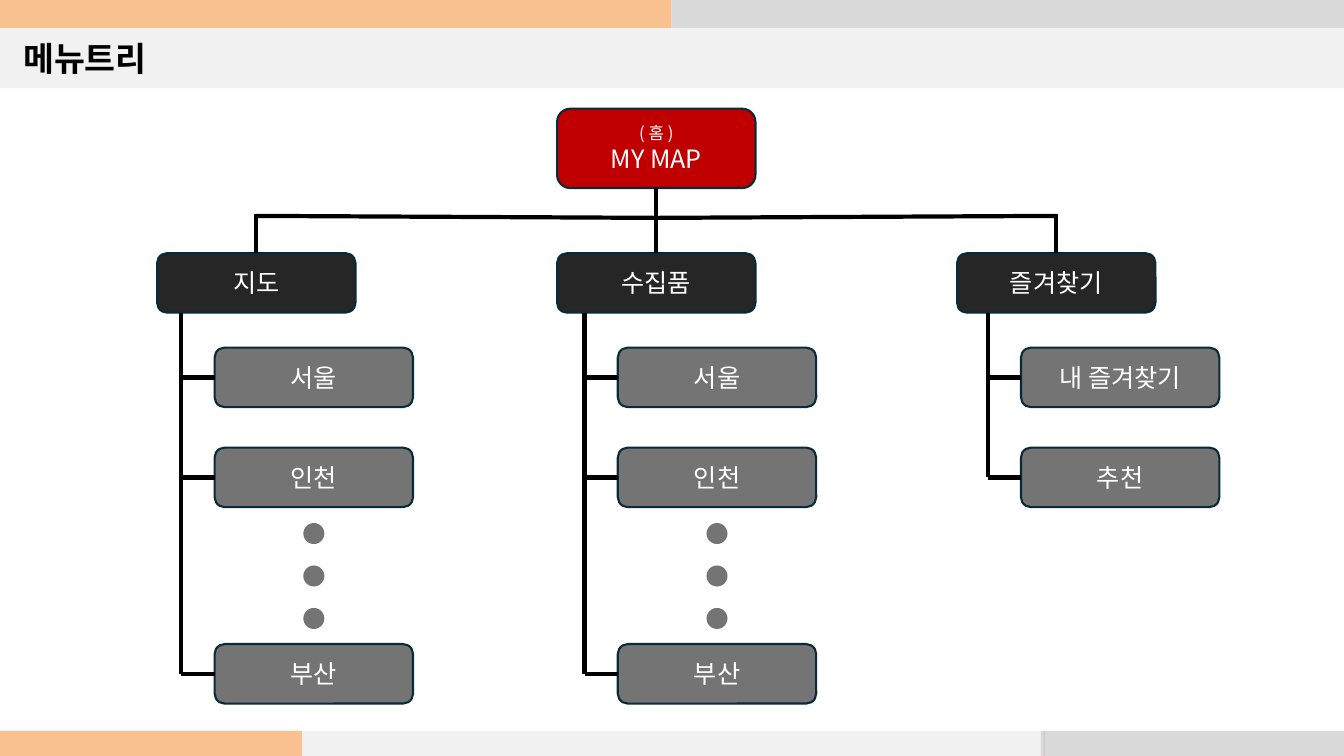
from lxml import etree
from pptx import Presentation, util as u
from pptx.dml.color import RGBColor
from pptx.enum import shapes as kinds, text
from pptx.oxml.ns import qn

ORANGE = RGBColor(0xF9, 0xC0, 0x90)
SILVER = RGBColor(0xD9, 0xD9, 0xD9)
PALE = RGBColor(0xF1, 0xF1, 0xF1)
PINK = RGBColor(0xDD, 0xB9, 0xB9)
RED = RGBColor(0xC0, 0x00, 0x00)
CHARCOAL = RGBColor(0x26, 0x26, 0x26)
GRAY = RGBColor(0x74, 0x74, 0x74)
NAVY = RGBColor(0x09, 0x2A, 0x39)
BLACK = RGBColor(0x00, 0x00, 0x00)
WHITE = RGBColor(0xFF, 0xFF, 0xFF)

FONT = "Noto Sans CJK KR"
SHAPE = kinds.MSO_SHAPE
PAGE_WIDTH, PAGE_HEIGHT = 33.87, 19.05
NODE_WIDTH, NODE_HEIGHT, HOME_HEIGHT = 5, 1.5, 2
HOME_LEFT, HOME_TOP = 14.04, 2.74
SECTION_LEFT, SECTION_STEP, SECTION_TOP = 3.96, 10.08, 6.38
TRUNK_LEFT, ITEM_LEFT, ITEM_STEP = 4.57, 5.41, 10.16
ITEM_TOPS = (8.76, 11.28, 16.23)
BUS_MIDDLE, BUS_END, DROP_TOP = 5.49, 5.44, 5.38
DOT_SIZE, DOT_TOP, DOT_STEP = 0.53, 13.18, 1.07
BOTTOM, LEFT = 2, 1

BANDS = (
    (0, 0, 16.93, 0.71, ORANGE),
    (16.93, 0, 16.94, 0.71, SILVER),
    (0, 18.42, 7.62, 0.63, ORANGE),
    (7.62, 18.42, 18.61, 0.63, PALE),
    (26.23, 18.42, 7.64, 0.63, SILVER),
    (26.31, 18.42, 0.02, 0.63, PINK),
    (0, 0.71, PAGE_WIDTH, 1.51, PALE),
)
SECTIONS = (
    ("지도", ("서울", "인천", "부산")),
    ("수집품", ("서울", "인천", "부산")),
    ("즐겨찾기", ("내 즐겨찾기", "추천")),
)


def apply(target, values):
    """Set every attribute in values on target."""
    for name, value in values.items():
        setattr(target, name, value)


def add_block(slide, kind, left, top, width, height, color):
    """Add a flat preset shape without outline."""
    block = slide.shapes.add_shape(
        kind, u.Cm(left), u.Cm(top), u.Cm(width), u.Cm(height))
    block.shadow.inherit = False
    block.fill.solid()
    block.fill.fore_color.rgb = color
    block.line.fill.background()
    return block


def write(paragraph, wording, size, color, align, bold=False):
    """Write one formatted run into a paragraph."""
    paragraph.alignment = align
    run = paragraph.add_run()
    run.text = wording
    apply(run.font, {"size": u.Pt(size), "bold": bold, "name": FONT})
    run.font.color.rgb = color
    east_asian = etree.SubElement(run.font._element, qn("a:ea"))
    east_asian.set("typeface", FONT)


def add_node(slide, left, top, height, color, lines):
    """Add a rounded menu node with centred lines of text."""
    node = add_block(slide, SHAPE.ROUNDED_RECTANGLE, left, top,
                     NODE_WIDTH, height, color)
    node.line.color.rgb = NAVY
    node.line.width = u.Pt(1.5)
    frame = node.text_frame
    apply(frame, {"word_wrap": True, "vertical_anchor": text.MSO_ANCHOR.MIDDLE})
    for index, (wording, size) in enumerate(lines):
        paragraph = frame.add_paragraph() if index else frame.paragraphs[0]
        write(paragraph, wording, size, WHITE, text.PP_ALIGN.CENTER)
    return node


def add_link(slide, start, end, source=None, target=None, side=None):
    """Add a tree line, joined to a source's bottom or a target's side."""
    link = slide.shapes.add_connector(
        kinds.MSO_CONNECTOR.STRAIGHT, *(u.Cm(value) for value in start + end))
    link.line.color.rgb = BLACK
    link.line.width = u.Pt(3)
    etree.SubElement(link._element.spPr, qn("a:effectLst"))
    if source is not None:
        link.begin_connect(source, BOTTOM)
    if target is not None:
        link.end_connect(target, side)


def add_title(slide, wording):
    """Place the title in front of its band."""
    title = slide.shapes.title
    apply(title, {"left": u.Cm(0.33), "top": u.Cm(0.84),
                  "width": u.Cm(7.42), "height": u.Cm(1.27)})
    apply(title.text_frame, {"word_wrap": True,
                             "vertical_anchor": text.MSO_ANCHOR.TOP,
                             "auto_size": text.MSO_AUTO_SIZE.NONE})
    write(title.text_frame.paragraphs[0], wording, 24, BLACK,
          text.PP_ALIGN.LEFT, bold=True)
    title._element.getparent().append(title._element)


def add_items(slide, column, items):
    """Add a section's trunk, branches, items and continuation dots."""
    trunk = TRUNK_LEFT + column * ITEM_STEP
    left = ITEM_LEFT + column * ITEM_STEP
    middles = [top + NODE_HEIGHT / 2 for top in ITEM_TOPS[:len(items)]]
    add_link(slide, (trunk, SECTION_TOP + NODE_HEIGHT), (trunk, middles[-1]))
    for item, top, middle in zip(items, ITEM_TOPS, middles):
        node = add_node(slide, left, top, NODE_HEIGHT, GRAY, [(item, 18)])
        add_link(slide, (trunk, middle), (left, middle), target=node, side=LEFT)
    if len(items) == len(ITEM_TOPS):
        for row in range(3):
            add_block(slide, SHAPE.OVAL, left + (NODE_WIDTH - DOT_SIZE) / 2,
                      DOT_TOP + row * DOT_STEP, DOT_SIZE, DOT_SIZE, GRAY)


def main():
    """Build the menu tree slide."""
    deck = Presentation()
    apply(deck, {"slide_width": u.Cm(PAGE_WIDTH),
                 "slide_height": u.Cm(PAGE_HEIGHT)})
    slide = deck.slides.add_slide(deck.slide_layouts[5])
    for *box, color in BANDS:
        add_block(slide, SHAPE.RECTANGLE, *box, color)
    add_title(slide, "메뉴트리")

    home = add_node(slide, HOME_LEFT, HOME_TOP, HOME_HEIGHT, RED,
                    [("( 홈 )", 12), ("MY MAP", 18)])
    junction = (HOME_LEFT + NODE_WIDTH / 2, BUS_MIDDLE)
    add_link(slide, (junction[0], HOME_TOP + HOME_HEIGHT), junction, source=home)
    for column, (section, items) in enumerate(SECTIONS):
        left = SECTION_LEFT + column * SECTION_STEP
        center = left + NODE_WIDTH / 2
        node = add_node(slide, left, SECTION_TOP, NODE_HEIGHT, CHARCOAL,
                        [(section, 18)])
        is_middle = column == 1
        if not is_middle:
            add_link(slide, junction, (center, BUS_END))
        drop_top = BUS_MIDDLE if is_middle else DROP_TOP
        add_link(slide, (center, drop_top), (center, SECTION_TOP),
                 target=node, side=0)
        add_items(slide, column, items)
    deck.save("out.pptx")


if __name__ == "__main__":
    main()
